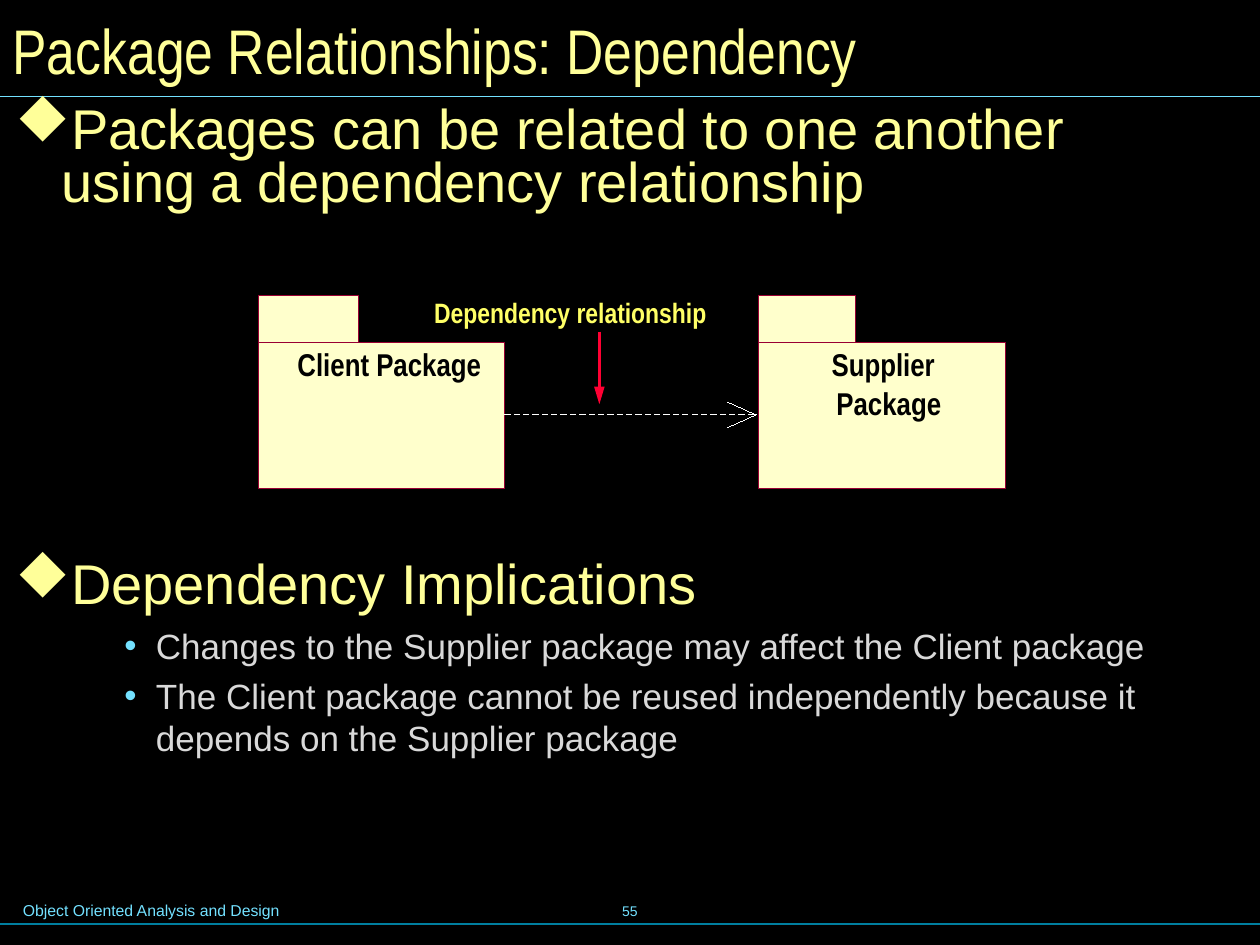
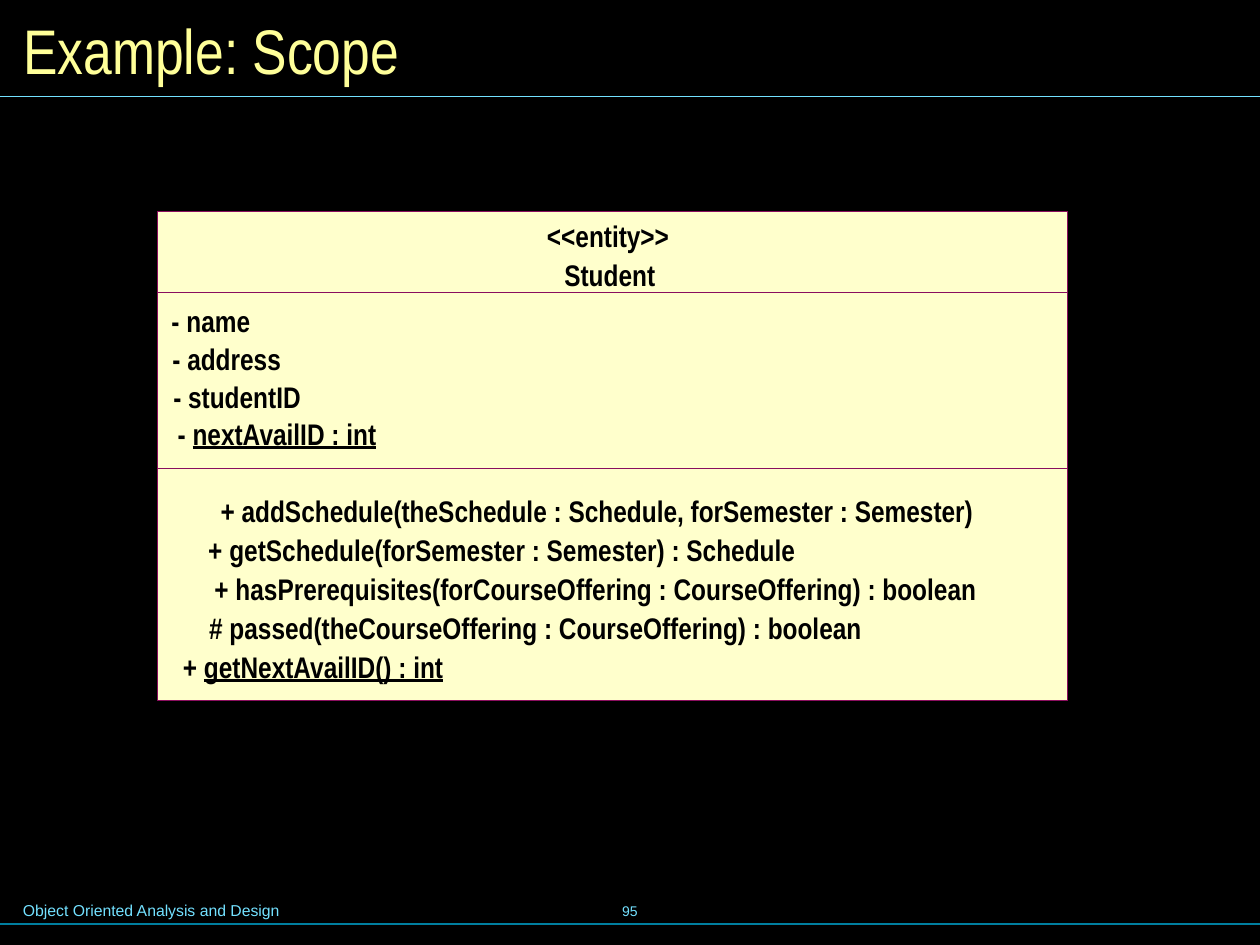
from lxml import etree
from pptx import Presentation
from pptx.dml.color import RGBColor
from pptx.enum import dml, shapes, text
from pptx.oxml import ns
from pptx.util import Pt

SANS, NARROW, SYMBOLS = "Arial", "Arial Narrow", "Wingdings"
BLACK, WHITE, CREAM = "000000", "FFFFFF", "FFFFCC"
YELLOW, CYAN, TEAL, GREY = "FFFF99", "73E1FF", "007E9F", "D9D9D9"
CRIMSON, PLUM, RED, LEMON = "990033", "8A0E5E", "FF0033", "FFFF66"
SLIDE_WIDTH, SLIDE_HEIGHT = 720, 540


def colour(hex_string):
    return RGBColor.from_string(hex_string)


def style(font, size, ink, face=SANS, bold=False):
    font.name, font.size, font.bold = face, Pt(size), bold
    font.color.rgb = colour(ink)


def set_frame(frame, inset=(7.2, 3.6), wrap=True, anchor=text.MSO_ANCHOR.TOP):
    frame.margin_left = frame.margin_right = Pt(inset[0])
    frame.margin_top = frame.margin_bottom = Pt(inset[1])
    frame.word_wrap = wrap
    frame.vertical_anchor = anchor


def set_line(line, ink, width=0.0):
    """Colour a line and write its width even when it is a hairline (zero)."""
    line.color.rgb = colour(ink)
    line._get_or_add_ln().set("w", str(Pt(width)))


def add_text(page, box, words, size, ink, face=SANS, bold=False, **layout):
    """Add a one-paragraph text box and return its paragraph."""
    frame = page.shapes.add_textbox(*map(Pt, box)).text_frame
    set_frame(frame, **layout)
    para = frame.paragraphs[0]
    para.text = words
    for span in para.runs:
        style(span.font, size, ink, face, bold)
    return para


def add_label(page, left, top, width, words, size, underlined=""):
    """Add black diagram lettering, with an optional underlined ending."""
    slack = 6
    para = add_text(page, (left, top, width + slack, size * 1.2), words, size,
                    BLACK, NARROW, True, inset=(0, 0))
    if underlined:
        span = para.add_run()
        span.text = underlined
        style(span.font, size, BLACK, NARROW, True)
        span.font.underline = True


def add_rect(page, left, top, width, height, edge):
    rect = page.shapes.add_shape(shapes.MSO_SHAPE.RECTANGLE,
                                 *map(Pt, (left, top, width, height)))
    rect.shadow.inherit = False
    rect.fill.solid()
    rect.fill.fore_color.rgb = colour(CREAM)
    set_line(rect.line, edge)


def add_line(page, start, end, ink, width=0.0, dashed=False, arrow=False):
    line = page.shapes.add_connector(shapes.MSO_CONNECTOR.STRAIGHT,
                                     *map(Pt, start + end))
    set_line(line.line, ink, width)
    if dashed:
        line.line.dash_style = dml.MSO_LINE.DASH
    if arrow:
        etree.SubElement(line.line._get_or_add_ln(), ns.qn("a:tailEnd"),
                         type="triangle", len="lg")
    etree.SubElement(line._element.spPr, ns.qn("a:effectLst"))


def add_bullet(para, mark, face, ink, left, hang):
    props = para._p.get_or_add_pPr()
    props.set("marL", str(Pt(left)))
    props.set("indent", str(-Pt(hang)))
    bullet_colour = etree.SubElement(props, ns.qn("a:buClr"))
    etree.SubElement(bullet_colour, ns.qn("a:srgbClr"), val=ink)
    etree.SubElement(props, ns.qn("a:buFont"), typeface=face)
    etree.SubElement(props, ns.qn("a:buChar"), char=mark)


def add_bullets(page, box, heading, points=()):
    """Add a diamond heading followed by its dotted points."""
    frame = page.shapes.add_textbox(*map(Pt, box)).text_frame
    set_frame(frame, inset=(8.64, 4.32))
    para = frame.paragraphs[0]
    para.text = heading
    para.line_spacing = 0.8
    add_bullet(para, "u", SYMBOLS, YELLOW, 26.5, 26.5)  # "u" is the diamond
    style(para.runs[0].font, 32, YELLOW)
    for point in points:
        para = frame.add_paragraph()
        para.text = point
        para.level = 1
        para.space_before = Pt(5)
        add_bullet(para, "•", SANS, CYAN, 80.5, 18)
        style(para.runs[0].font, 20, GREY)


def add_page(deck, title, number, title_left):
    """Add a slide with the shared background, title, rules and footer."""
    page = deck.slides.add_slide(deck.slide_layouts[5])
    page.background.fill.solid()
    page.background.fill.fore_color.rgb = colour(BLACK)
    heading = page.shapes.title
    heading.left, heading.top = Pt(title_left), Pt(0)
    heading.width, heading.height = Pt(715 - title_left), Pt(56)
    set_frame(heading.text_frame, anchor=text.MSO_ANCHOR.MIDDLE)
    heading.text_frame.text = title
    para = heading.text_frame.paragraphs[0]
    para.alignment = text.PP_ALIGN.LEFT
    style(para.runs[0].font, 36, YELLOW, NARROW)
    add_line(page, (0, 55), (SLIDE_WIDTH, 55), CYAN, 0.75)
    add_line(page, (0, 528), (SLIDE_WIDTH, 528), TEAL, 0.75)
    add_text(page, (6, 511, 367, 18), "Object Oriented Analysis and Design", 9, CYAN)
    para = add_text(page, (246, 502.5, 228, 36), number, 8, CYAN,
                    wrap=False, anchor=text.MSO_ANCHOR.MIDDLE)
    para.alignment = text.PP_ALIGN.CENTER
    return page


def add_package(page, left, top, tab_width, name_lines):
    """Add a tabbed package; name lines are (offset, width, words)."""
    tab_height = 26.5
    add_rect(page, left, top + tab_height, 141, 83.5, CRIMSON)
    add_rect(page, left, top, tab_width, tab_height, CRIMSON)
    for row, (offset, width, words) in enumerate(name_lines):
        add_label(page, left + offset, top + 28 + row * 22.3, width, words, 18)


def add_dependency(page, left, right, y):
    """Add the dashed dependency arrow with its open head and callout."""
    add_line(page, (left, y), (right, y), WHITE, dashed=True)
    for rise in (7.2, -7.2):
        add_line(page, (right, y), (right - 16, y + rise), WHITE)
    add_text(page, (left - 47.5, y - 71.5, 198, 26.5), "Dependency relationship",
             16, LEMON, NARROW, True)
    pointer = left + 54
    add_line(page, (pointer, y - 47.5), (pointer, y - 6), RED, 2, arrow=True)


def build_dependency_page(deck):
    page = add_page(deck, "Package Relationships: Dependency", "55", 0)
    add_bullets(page, (0, 56.3, 668, 80),
                "Packages can be related to one another using a dependency relationship")
    add_bullets(page, (0, 316.7, 668, 130), "Dependency Implications", (
        "Changes to the Supplier package may affect the Client package",
        "The Client package cannot be reused independently because it "
        "depends on the Supplier package"))
    add_package(page, 147.5, 169, 57.5, [(22.5, 105, "Client Package")])
    add_package(page, 433.5, 169, 55.5, [(41.7, 63, "Supplier"), (44.5, 60, "Package")])
    add_dependency(page, 288.5, 432, 237)


def add_class(page, left, top, width, bottom, compartments):
    """Stack compartments, each (offset, first row, pitch, rows), to the bottom.

    Rows are (indent, width, words, underlined ending)."""
    for offset, first_row, pitch, rows in compartments:
        start = top + offset
        add_rect(page, left, start, width, bottom - start, PLUM)
        for index, (indent, row_width, words, ending) in enumerate(rows):
            add_label(page, left + indent, start + first_row + index * pitch,
                      row_width, words, 17, ending)


def build_scope_page(deck):
    page = add_page(deck, "Example: Scope", "95", 6)
    name = [(222.5, 70, "<<entity>>", ""), (232.5, 52, "Student", "")]
    attributes = [
        (8, 45, "- name", ""),
        (8.5, 62, "- address", ""),
        (9, 73, "- studentID", ""),
        (11.5, 114.5, "- ", "nextAvailID : int"),
    ]
    operations = [
        (36, 430.5, "+ addSchedule(theSchedule : Schedule, forSemester : Semester)", ""),
        (29, 336, "+ getSchedule(forSemester : Semester) : Schedule", ""),
        (32.5, 436, "+ hasPrerequisites(forCourseOffering : CourseOffering) : boolean", ""),
        (29.5, 373.5, "# passed(theCourseOffering : CourseOffering) : boolean", ""),
        (14.5, 150, "+ ", "getNextAvailID() : int"),
    ]
    add_class(page, 90, 121, 520, 400.5, [
        (0, 3.5, 22.3, name),
        (46, 6, 21.6, attributes),
        (147, 13.5, 22.3, operations),
    ])


def main():
    deck = Presentation()
    deck.slide_width, deck.slide_height = Pt(SLIDE_WIDTH), Pt(SLIDE_HEIGHT)
    build_dependency_page(deck)
    build_scope_page(deck)
    deck.save("out.pptx")


if __name__ == "__main__":
    main()
